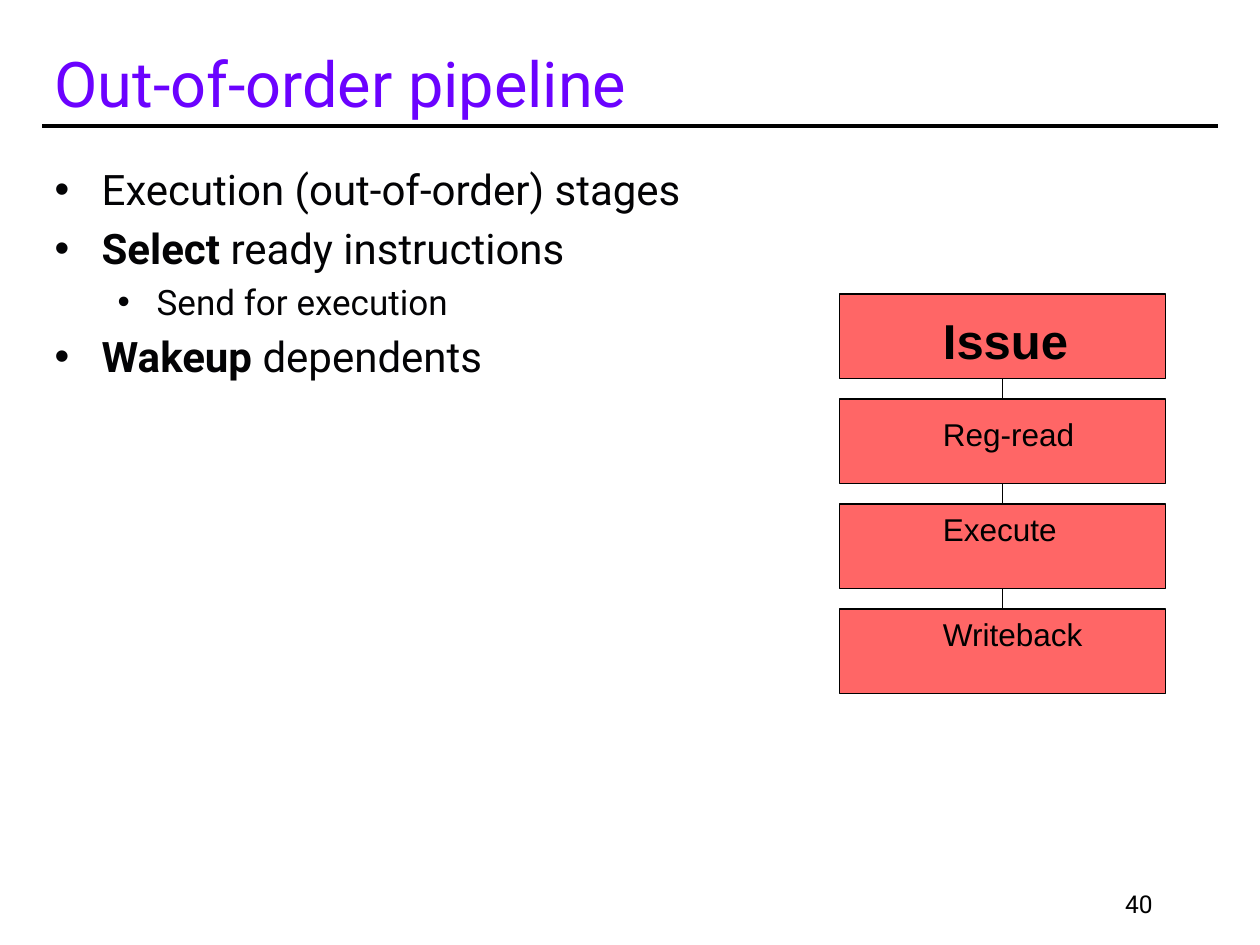
from lxml.etree import SubElement as Sub
from pptx import Presentation
from pptx.dml.color import RGBColor
from pptx.enum.shapes import MSO_CONNECTOR as Link, MSO_SHAPE as Kind
from pptx.enum.text import MSO_ANCHOR as Anchor, PP_ALIGN as Align
from pptx.oxml.ns import qn
from pptx.util import Cm, Pt

BLACK = RGBColor(0, 0, 0)
INK = RGBColor(0x03, 0x03, 0x05)
VIOLET = RGBColor(0x6B, 0x02, 0xFF)
CORAL = RGBColor(0xFF, 0x66, 0x66)

# Level: font size, left margin, hanging indent
LEVELS = [(24, 0.95, 0.95), (20, 2.06, 0.79)]
# Level, bold lead, rest
POINTS = [
    (0, "", "Execution (out-of-order) stages"),
    (0, "Select", " ready instructions"),
    (1, "", "Send for execution"),
    (0, "Wakeup", " dependents"),
]
# Label, font size, bold, drop of the label below the box top
STAGES = [
    ("Issue", 28, True, 0.2),
    ("Reg-read", 18, False, 0.2),
    ("Execute", 18, False, 0),
    ("Writeback", 18, False, 0),
]


def style(para, size, color, name="Roboto", bold=None):
    font = para.font
    font.size, font.name, font.bold = Pt(size), name, bold
    font.color.rgb = color


def add_frame(slide, box, anchor=Anchor.TOP):
    frame = slide.shapes.add_textbox(*map(Cm, box)).text_frame
    frame.word_wrap = True
    frame.vertical_anchor = anchor
    return frame


def add_line(slide, start, end, width):
    line = slide.shapes.add_connector(
        Link.STRAIGHT, *map(Cm, (*start, *end)))
    line.line.color.rgb = BLACK
    line.line.width = Pt(width)
    Sub(line._element.spPr, qn("a:effectLst"))
    return line


def add_title(slide, box, text):
    """Place the title with a rule along the bottom of the box."""
    left, top, width, height = box
    base = top + height
    add_line(slide, (left, base), (left + width, base), 2.25)
    para = add_frame(slide, box, Anchor.BOTTOM).paragraphs[0]
    para.text = text
    style(para, 36, VIOLET)


def add_bullet(para, margin, hang):
    props = para._p.get_or_add_pPr()
    props.set("marL", str(Cm(margin)))
    props.set("indent", str(-Cm(hang)))
    color = Sub(props, qn("a:buClr"))
    Sub(color, qn("a:srgbClr"), val=str(INK))
    Sub(props, qn("a:buFont"), typeface="Arial")
    Sub(props, qn("a:buChar"), char="•")


def add_points(slide, box):
    frame = add_frame(slide, box)
    for i, (level, lead, rest) in enumerate(POINTS):
        para = frame.add_paragraph() if i else frame.paragraphs[0]
        size, margin, hang = LEVELS[level]
        para.level = level
        para.space_before = Pt(size * 0.2)
        add_bullet(para, margin, hang)
        style(para, size, INK)
        if lead:
            run = para.add_run()
            run.text = lead
            run.font.bold = True
        para.add_run().text = rest


def add_stages(slide, box):
    """Stack the stages over the height of the box and join them."""
    left, top, width, height = box
    tall = 1.7
    step = (height - tall) / (len(STAGES) - 1)
    inset = 1.83
    last = None
    for i, (label, size, bold, drop) in enumerate(STAGES):
        y = top + i * step
        rect = slide.shapes.add_shape(
            Kind.RECTANGLE, *map(Cm, (left, y, width, tall)))
        rect.shadow.inherit = False
        rect.fill.solid()
        rect.fill.fore_color.rgb = CORAL
        rect.line.color.rgb = BLACK
        rect.line.width = Pt(0.75)
        spot = (left + inset, y + drop, width - inset, 1.27)
        para = add_frame(slide, spot).paragraphs[0]
        para.text = label
        style(para, size, BLACK, "Arial", bold)
        if last:
            mid = left + width / 2
            line = add_line(slide, (mid, y - step + tall), (mid, y), 0.75)
            line.begin_connect(last, 2)
            line.end_connect(rect, 0)
        last = rect


def add_number(slide, box, text):
    para = add_frame(slide, box, Anchor.BOTTOM).paragraphs[0]
    para.text = text
    para.alignment = Align.RIGHT
    style(para, 14, BLACK)


def main():
    deck = Presentation()
    deck.slide_width, deck.slide_height = Cm(25.4), Cm(19.05)
    slide = deck.slides.add_slide(deck.slide_layouts[6])
    add_title(slide, (0.85, 0.64, 23.7, 1.9), "Out-of-order pipeline")
    add_points(slide, (0.85, 3.18, 23.7, 14.18))
    add_stages(slide, (16.93, 5.93, 6.56, 8.05))
    add_number(slide, (18.2, 17.78, 5.29, 0.85), "40")
    deck.save("out.pptx")


if __name__ == "__main__":
    main()
